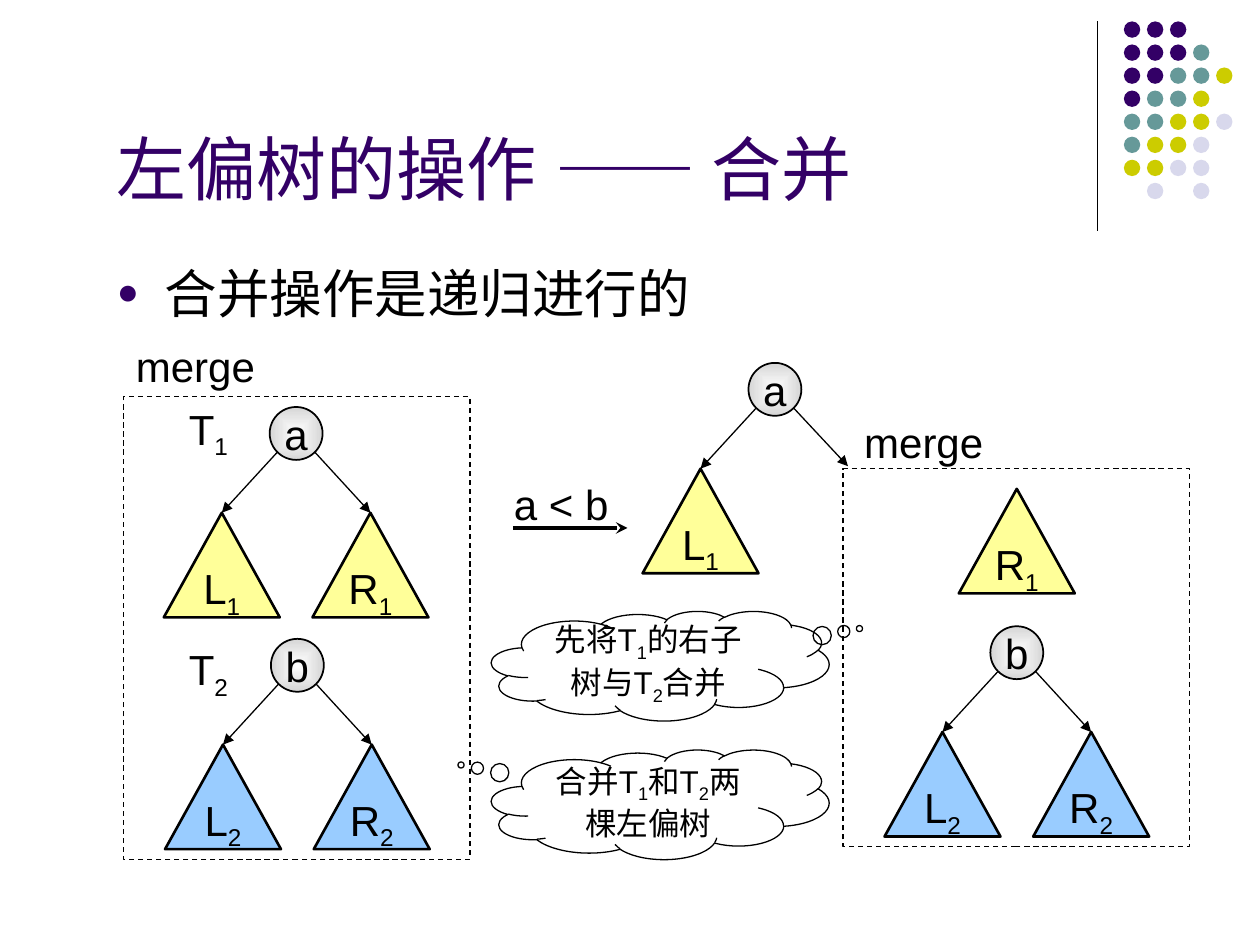
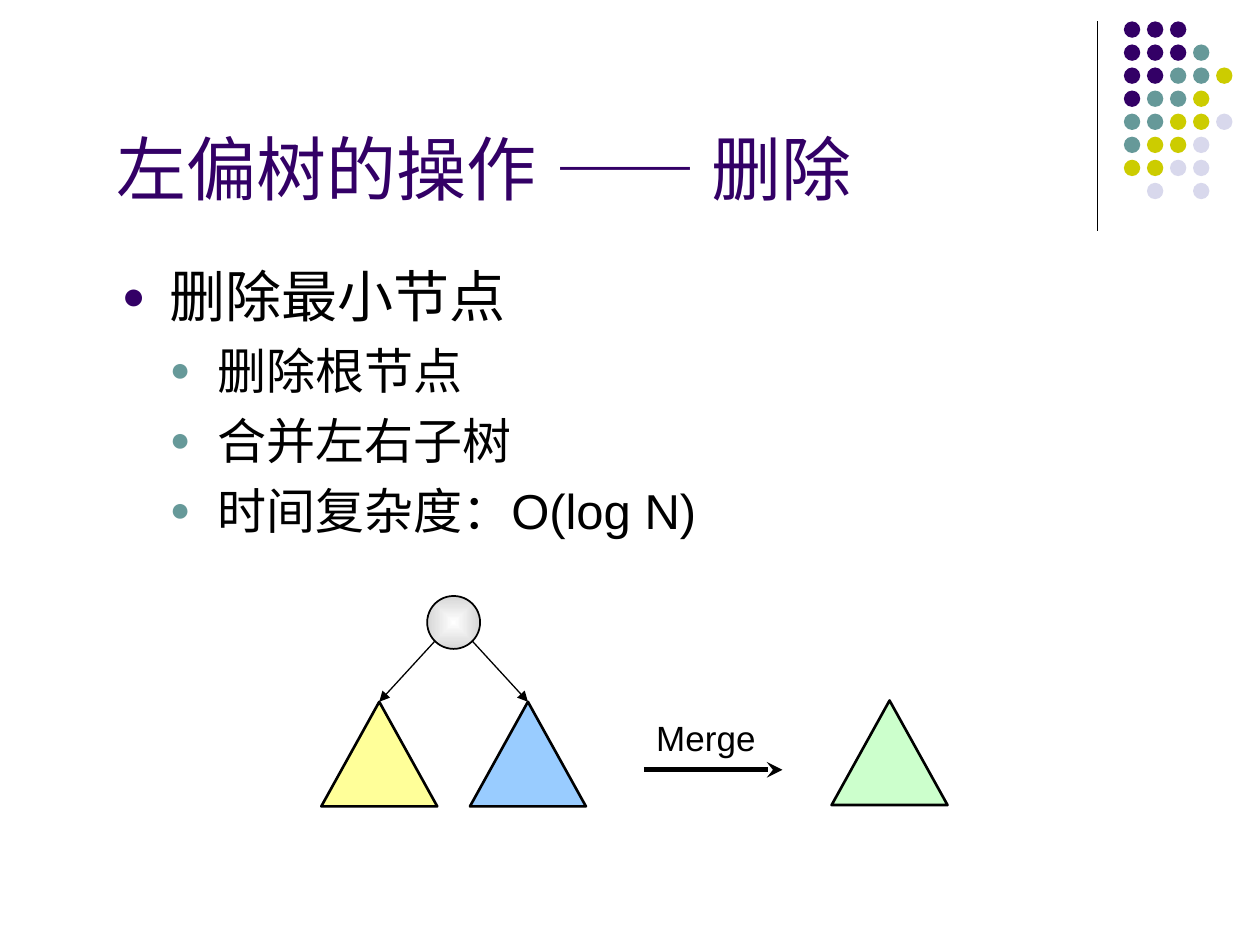
from lxml import etree
from pptx import Presentation
from pptx.enum import dml, shapes, text
from pptx.dml.color import RGBColor
from pptx.oxml.ns import qn
from pptx.util import Inches, Pt

COLORS = {
    "purple": "330066", "teal": "669999", "olive": "CCCC00", "lilac": "D8D8EC",
    "black": "000000", "white": "FFFFFF", "grey": "D6D6D6",
    "yellow": "FFFF99", "blue": "99CCFF", "green": "CCFFCC",
}
LATIN, CJK = "Arial", "Noto Sans CJK SC"
BULLETS = ["purple", "teal"]
DOT_ROWS = ["PPP", "PPPT", "PPTTY", "PTTY", "TTYYL", "TYYL", "YYLL", " L L"]
DOT_COLORS = {"P": "purple", "T": "teal", "Y": "olive", "L": "lilac"}

# Tree measures, in grid units
NODE = 4.2
TRI_W, TRI_H = 9.2, 8.3
SPREAD, DROP = 5.9, 8.4


def rgb(name):
    return RGBColor.from_string(COLORS[name])


def add_xml(parent, tag, **attributes):
    return etree.SubElement(parent, qn(tag), attributes)


def with_subscripts(line):
    """Split 'T_1' into runs; the character after each underscore is lowered."""
    first, *rest = line.split("_")
    runs = [(first, {})]
    for piece in rest:
        runs.append((piece[0], {"baseline": "-25000"}))
        if piece[1:]:
            runs.append((piece[1:], {}))
    return runs


def write(paragraph, content, size=24, color="black", align=text.PP_ALIGN.LEFT):
    """Fill a paragraph from a string or a list of (words, overrides)."""
    paragraph.alignment = align
    runs = with_subscripts(content) if isinstance(content, str) else content
    for words, overrides in runs:
        run = paragraph.add_run()
        run.text = words
        typeface = overrides.get("font", LATIN)
        run.font.size = Pt(size)
        run.font.color.rgb = rgb(color)
        run.font.name = typeface
        properties = run.font._element
        add_xml(properties, "a:ea", typeface=typeface)
        if "baseline" in overrides:
            properties.set("baseline", overrides["baseline"])


class Deck:
    """Slide style on a grid of 100 columns by 75 rows."""

    def __init__(self):
        self.prs = Presentation()
        self.prs.slide_width, self.prs.slide_height = Inches(10), Inches(7.5)
        self.col = self.prs.slide_width / 100
        self.row = self.prs.slide_height / 75

    def place(self, x, y):
        return round(x * self.col), round(y * self.row)

    def new_slide(self, topic):
        self.slide = self.prs.slides.add_slide(self.prs.slide_layouts[6])
        # Corner ornament
        self.line((87.1, 1.7), (87.1, 18.3))
        for r, dots in enumerate(DOT_ROWS):
            for c, dot in enumerate(dots):
                if dot in DOT_COLORS:
                    self.shape("OVAL", 89.2 + 1.83 * c, 1.7 + 1.83 * r, 1.3, 1.3,
                               fill=DOT_COLORS[dot], weight=0)
        # Title
        frame = self.text_box(8.3, 8.4, 85.1, 8.7)
        frame.vertical_anchor = text.MSO_ANCHOR.BOTTOM
        write(frame.paragraphs[0],
              [("左偏树的操作 ", {}), ("—— ", {"font": CJK}), (topic, {})],
              size=40, color="purple")

    def text_box(self, x, y, w, h, wrap=True):
        box = self.slide.shapes.add_textbox(*self.place(x, y), *self.place(w, h))
        box.text_frame.word_wrap = wrap
        return box.text_frame

    def label(self, words, x, y, w, h=5, size=24):
        frame = self.text_box(x, y, w, h, wrap=False)
        frame.auto_size = text.MSO_AUTO_SIZE.SHAPE_TO_FIT_TEXT
        write(frame.paragraphs[0], words, size=size)

    def bullets(self, x, y, w, h, items):
        """items: (level, size, words)"""
        frame = self.text_box(x, y, w, h)
        for i, (level, size, words) in enumerate(items):
            paragraph = frame.add_paragraph() if i else frame.paragraphs[0]
            if i:
                paragraph.space_before = Pt(0.23 * size)
            properties = paragraph._p.get_or_add_pPr()
            properties.set("marL", str(Inches(0.38 * (level + 1))))
            properties.set("indent", str(Inches(-0.38)))
            tint = add_xml(properties, "a:buClr")
            add_xml(tint, "a:srgbClr", val=COLORS[BULLETS[level]])
            add_xml(properties, "a:buSzPct", val="70000")
            add_xml(properties, "a:buFont", typeface=LATIN)
            add_xml(properties, "a:buChar", char="●")
            write(paragraph, words, size=size)

    def shape(self, preset, x, y, w, h, words="", fill=None, weight=0.75,
              size=24, wrap=False):
        shape = self.slide.shapes.add_shape(
            getattr(shapes.MSO_SHAPE, preset), *self.place(x, y), *self.place(w, h))
        shape.shadow.inherit = False
        if fill:
            shape.fill.solid()
            shape.fill.fore_color.rgb = rgb(fill)
        else:
            shape.fill.background()
        if weight:
            shape.line.color.rgb = rgb("black")
            shape.line.width = Pt(weight)
        else:
            shape.line.fill.background()
        if words:
            frame = shape.text_frame
            frame.word_wrap = wrap
            frame.vertical_anchor = text.MSO_ANCHOR.MIDDLE
            write(frame.paragraphs[0], words, size=size, align=text.PP_ALIGN.CENTER)
        return shape

    def line(self, start, end, weight=0.75, head=None, into=None):
        line = self.slide.shapes.add_connector(
            shapes.MSO_CONNECTOR.STRAIGHT, *self.place(*start), *self.place(*end))
        line.line.color.rgb = rgb("black")
        line.line.width = Pt(weight)
        if head:
            add_xml(line.line._get_or_add_ln(), "a:tailEnd", type=head)
        add_xml(line._element.spPr, "a:effectLst")
        if into is not None:
            line.end_connect(into, 0)

    def node(self, center, top, words=""):
        circle = self.shape("OVAL", center - NODE / 2, top, NODE, NODE, words, weight=1)
        circle.fill.gradient()
        for stop, color in zip(circle.fill.gradient_stops, ("white", "grey")):
            stop.color.rgb = rgb(color)
        gradient = circle._element.spPr.find(qn("a:gradFill"))
        gradient.remove(gradient.find(qn("a:lin")))
        glow = add_xml(gradient, "a:path", path="shape")
        add_xml(glow, "a:fillToRect", l="50000", t="50000", r="50000", b="50000")

    def subtree(self, center, top, fill, words=""):
        return self.shape("ISOSCELES_TRIANGLE", center - TRI_W / 2, top, TRI_W, TRI_H,
                          words, fill=fill, weight=1.5)

    def tree(self, center, top, children, root=""):
        """children: (fill, words) left and right; None leaves a bare arrow."""
        self.node(center, top, root)
        for side, child in zip((-1, 1), children):
            apex = (center + side * SPREAD, top + DROP)
            branch = self.subtree(*apex, *child) if child else None
            tip = apex if child else (apex[0] - 0.1, apex[1] - 0.2)
            self.line((center + side * 1.5, top + 3.6), tip, head="triangle", into=branch)

    def merge_frame(self, x, y, h):
        frame = self.shape("RECTANGLE", x, y, 27.5, h)
        frame.line.dash_style = dml.MSO_LINE.DASH

    def thought(self, words, top, pointer, fill=None):
        cloud = self.shape("CLOUD_CALLOUT", 39, top, 26.8, 8.7, words, fill=fill,
                           size=18, wrap=True)
        cloud.adjustments[0], cloud.adjustments[1] = pointer


def merge_slide(deck):
    deck.new_slide("合并")
    deck.bullets(8.3, 20.2, 84.3, 48.8, [(0, 30, "合并操作是递归进行的")])
    second_tree = [("blue", "L_2"), ("blue", "R_2")]

    # Condition arrow
    deck.line((40.7, 41.9), (49.8, 41.9), weight=2.25, head="stealth")
    deck.label("a < b", 39.8, 37.5, 9.5)

    # Before: both trees wait to be merged
    deck.tree(23.5, 32.3, [("yellow", "L_1"), ("yellow", "R_1")], "a")
    deck.tree(23.6, 50.7, second_tree, "b")
    deck.merge_frame(9.8, 31.5, 36.7)
    deck.label("T_1", 14, 31.5, 5.3)
    deck.label("T_2", 14, 50.6, 5.3)
    deck.label("merge", 9.8, 26.5, 11.5)
    deck.thought("合并T_1和T_2两棵左偏树", 59.5, (-0.59, -0.36), fill="white")

    # After: the right subtree is merged with the second tree
    deck.tree(61.5, 28.8, [("yellow", "L_1"), None], "a")
    deck.merge_frame(66.9, 37.2, 30)
    deck.label("merge", 67.6, 32.6, 11.5)
    deck.tree(80.7, 49.7, second_tree, "b")
    deck.subtree(80.7, 38.8, "yellow", "R_1")
    deck.thought("先将T_1的右子树与T_2合并", 48.5, (0.59, -0.34))


def delete_slide(deck):
    deck.new_slide("删除")
    deck.bullets(8.7, 20.3, 84.3, 48, [
        (0, 32, "删除最小节点"),
        (1, 28, "删除根节点"),
        (1, 28, "合并左右子树"),
        (1, 28, "时间复杂度：O(log N)"),
    ])

    # Root removed, its subtrees merged into one
    deck.tree(36, 47.3, [("yellow",), ("blue",)])
    deck.subtree(70.6, 55.6, "green")
    deck.line((51.1, 61.1), (62.1, 61.1), weight=3, head="stealth")
    deck.label("Merge", 51.1, 56.4, 10, 4.3, size=20)


def main():
    deck = Deck()
    merge_slide(deck)
    delete_slide(deck)
    deck.prs.save("out.pptx")


if __name__ == "__main__":
    main()
